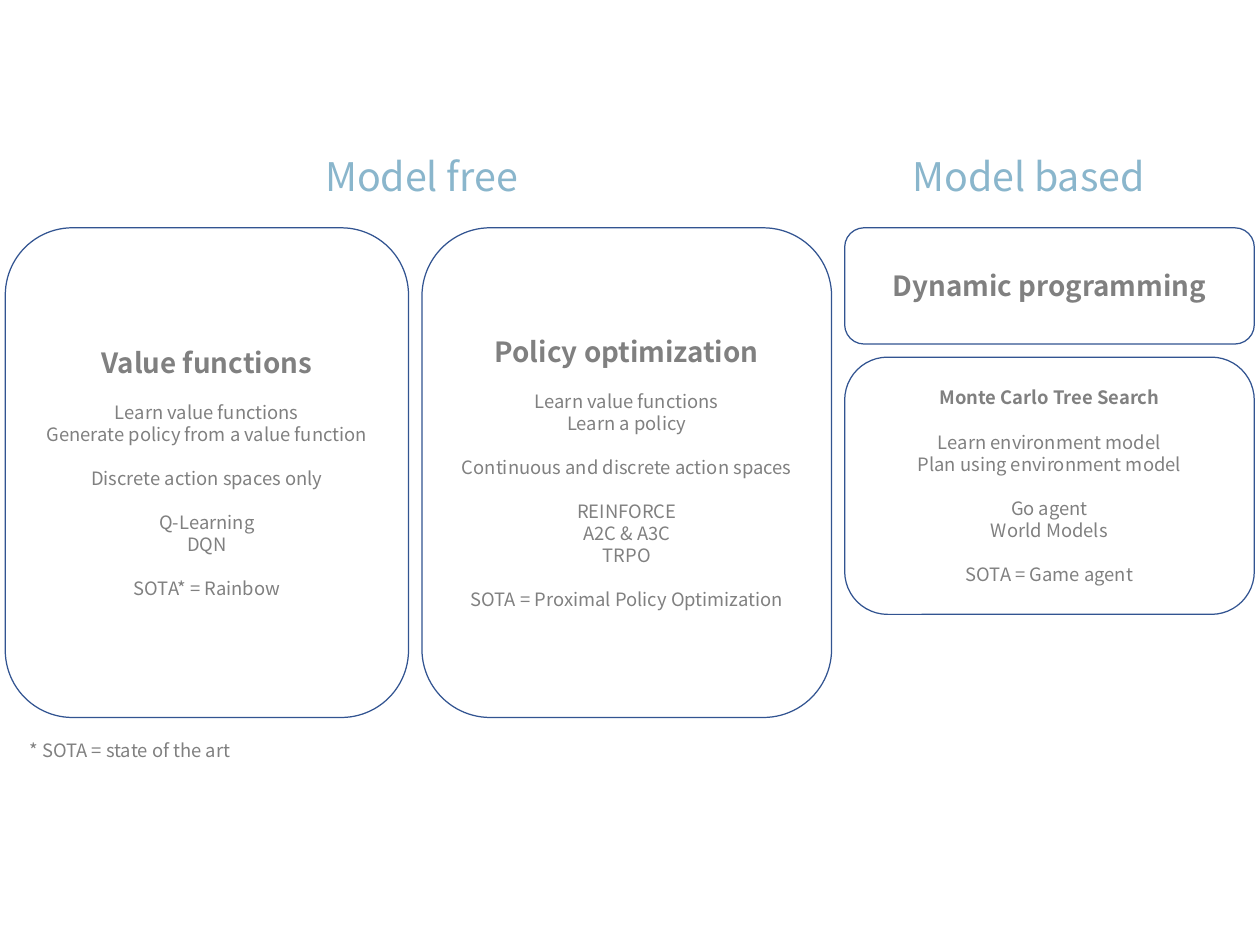
import pptx
import pptx.dml.color
import pptx.enum.shapes
import pptx.enum.text
import pptx.util

Cm = pptx.util.Cm
Pt = pptx.util.Pt
RGBColor = pptx.dml.color.RGBColor

SKY = RGBColor(0x8A, 0xB6, 0xCC)
NAVY = RGBColor(0x32, 0x54, 0x91)
GRAY = RGBColor(0x80, 0x80, 0x80)
FONT = "Noto Sans CJK JP"
LARGE, HEAD, BODY = 31.5, 22.2, 14.7
PITCH = 1.2
TOP, GAP = 6.43, 0.37
TALL, SHORT, LOW = 13.82, 3.28, 7.26
WIDE = 11.56

VALUE = [
    ["Learn value functions", "Generate policy from a value function"],
    ["Discrete action spaces only"],
    ["Q-Learning", "DQN"],
    ["SOTA* = Rainbow"],
]
POLICY = [
    ["Learn value functions", "Learn a policy"],
    ["Continuous and discrete action spaces"],
    ["REINFORCE", "A2C & A3C", "TRPO"],
    ["SOTA = Proximal Policy Optimization"],
]
SEARCH = [
    ["Learn environment model", "Plan using environment model"],
    ["Go agent", "World Models"],
    ["SOTA = Game agent"],
]


def add_line(para, text, size, color=GRAY, bold=False, before=0):
    para.alignment = pptx.enum.text.PP_ALIGN.CENTER
    para.line_spacing = Pt(size * PITCH)
    para.space_before = Pt(before)
    run = para.add_run()
    run.text = text
    run.font.name = FONT
    run.font.size = Pt(size)
    run.font.bold = bold
    run.font.color.rgb = color


def add_label(slide, text, left, top, width, height, size, color, wrap=True):
    box = slide.shapes.add_textbox(Cm(left), Cm(top), Cm(width), Cm(height))
    box.text_frame.word_wrap = wrap
    add_line(box.text_frame.paragraphs[0], text, size, color)


def add_card(slide, head, groups, left, top, width, height, size=HEAD):
    card = slide.shapes.add_shape(
        pptx.enum.shapes.MSO_SHAPE.ROUNDED_RECTANGLE,
        Cm(left), Cm(top), Cm(width), Cm(height))
    card.shadow.inherit = False
    card.fill.background()
    card.line.color.rgb = NAVY
    card.line.width = Pt(1)
    frame = card.text_frame
    frame.word_wrap = True
    frame.vertical_anchor = pptx.enum.text.MSO_ANCHOR.MIDDLE
    add_line(frame.paragraphs[0], head, size, bold=True)
    for group in groups:
        for place, text in enumerate(group):
            before = 0 if place else BODY * PITCH
            add_line(frame.add_paragraph(), text, BODY, before=before)


def main():
    deck = pptx.Presentation()
    deck.slide_width, deck.slide_height = Cm(35.56), Cm(26.67)
    slide = deck.slides.add_slide(deck.slide_layouts[6])

    first, second = 0.15, 11.91
    third = second + WIDE + GAP
    add_label(slide, "Model free", 0.28, 4.17, 23.24, 1.6, LARGE, SKY)
    add_label(slide, "Model based", 22.68, 4.17, 12.7, 1.6, LARGE, SKY)
    add_card(slide, "Value functions", VALUE, first, TOP, 11.38, TALL)
    add_card(slide, "Policy optimization", POLICY, second, TOP, WIDE, TALL)
    add_card(slide, "Dynamic programming", [], third, TOP, WIDE, SHORT)
    add_card(slide, "Monte Carlo Tree Search", SEARCH,
             third, TOP + SHORT + GAP, WIDE, LOW, BODY)
    add_label(slide, "* SOTA = state of the art", 0.3, 20.73, 6.73, 0.89,
              BODY, GRAY, wrap=False)
    deck.save("out.pptx")


if __name__ == "__main__":
    main()
